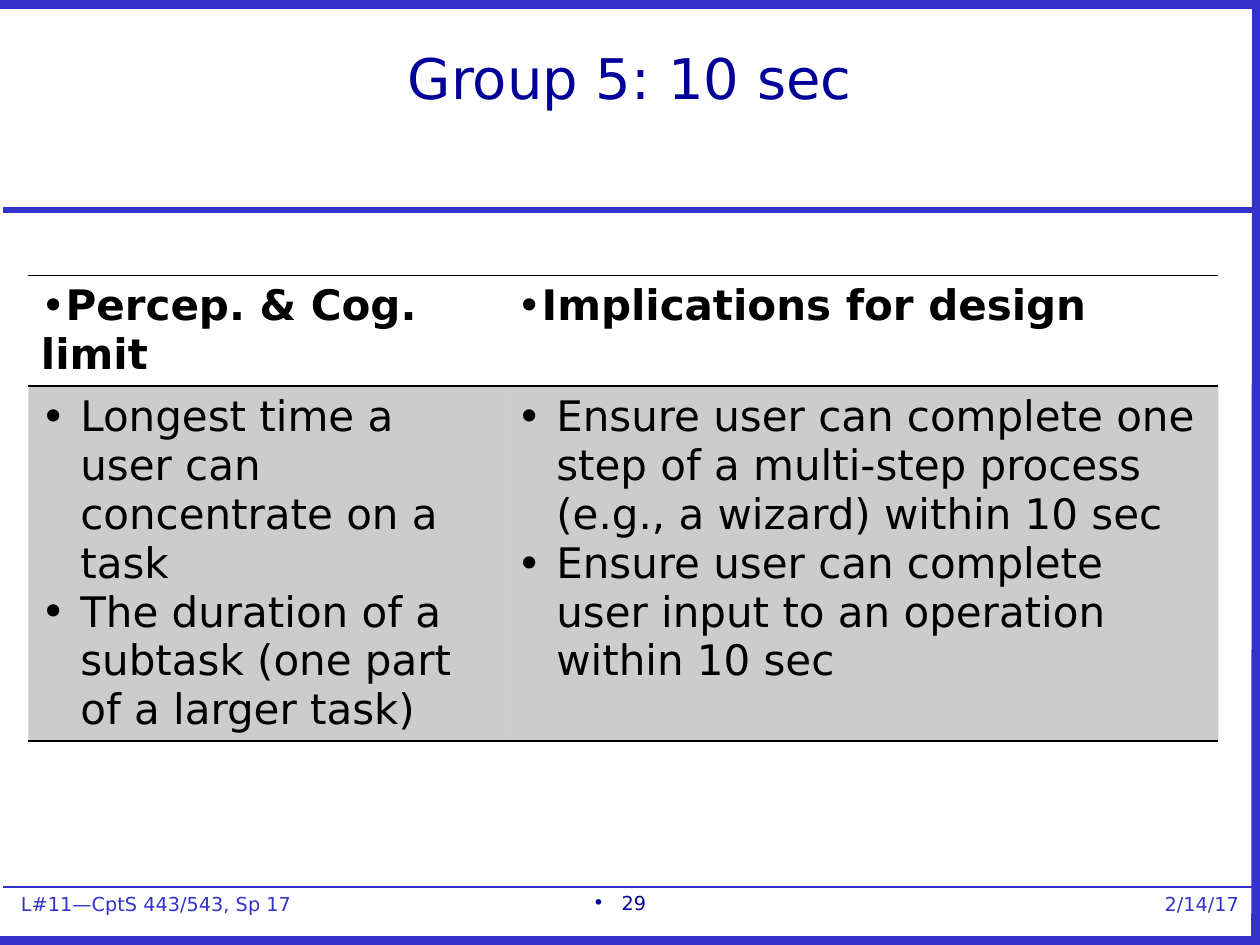
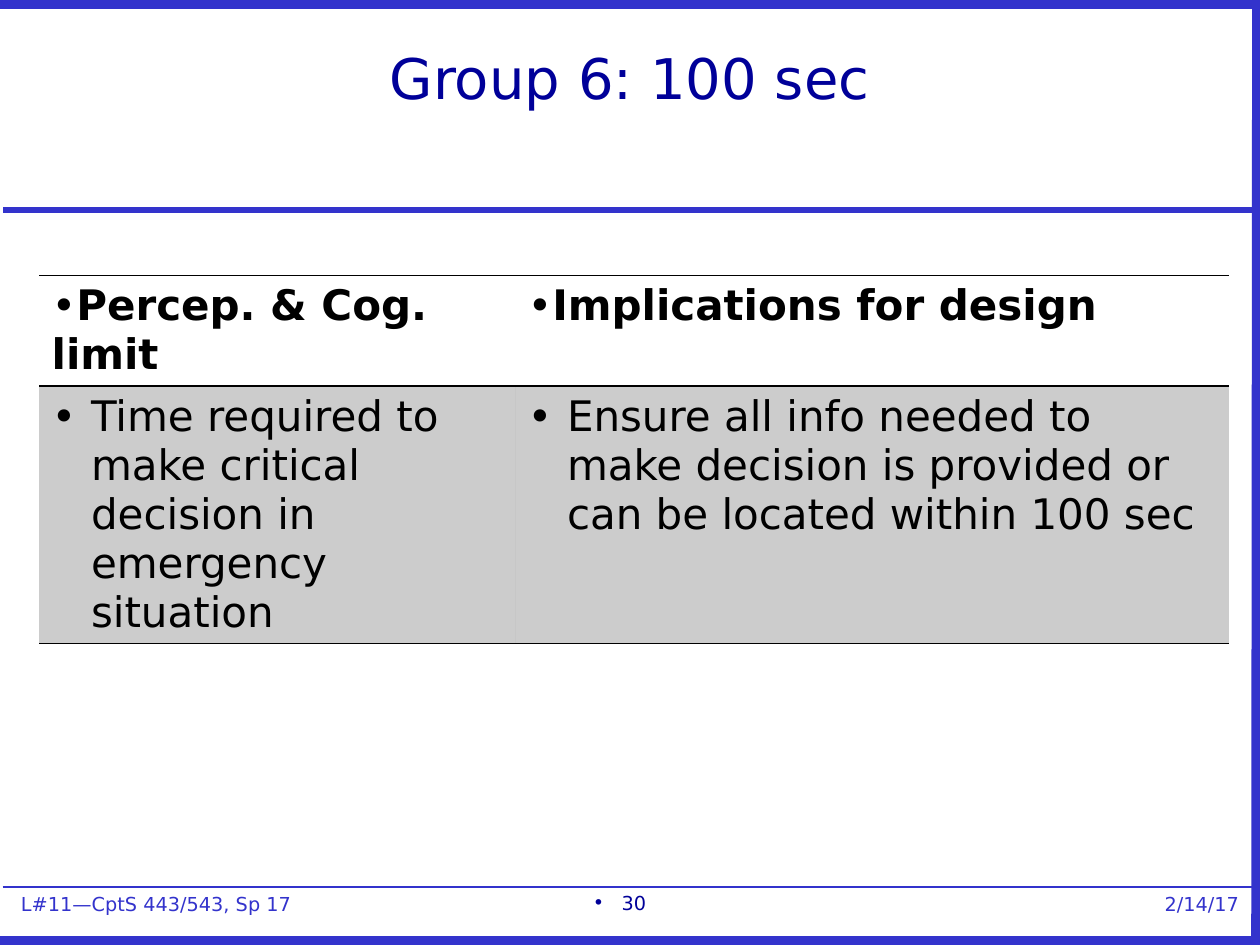
from dataclasses import dataclass

import lxml.etree
import pptx
import pptx.dml.color
import pptx.enum.shapes
import pptx.enum.text
import pptx.oxml.ns
import pptx.util

Pt = pptx.util.Pt
qn = pptx.oxml.ns.qn
Align = pptx.enum.text.PP_ALIGN
Anchor = pptx.enum.text.MSO_ANCHOR

FONT = "DejaVu Sans"
BLUE, NAVY, BLACK, WHITE = "3333CC", "000099", "000000", "FFFFFF"
NO_GRID_STYLE = "{2D5ABB26-0587-4C30-8999-92F81FD0307C}"
TABLE_TOP = 157.5
COLUMN_WIDTHS = (272, 408)
ROW_HEIGHTS = (26, 72)
HEADINGS = ("Percep. & Cog. limit", "Implications for design")
BODY_INDENT = 22.5


@dataclass(frozen=True)
class Rule:
    x1: float
    y1: float
    x2: float
    y2: float
    weight: float


@dataclass(frozen=True)
class Footer:
    text: str
    left: float
    width: float
    align: Align


@dataclass(frozen=True)
class Group:
    title: str
    number: int
    table_left: float
    limits: tuple[str, ...]
    implications: tuple[str, ...]


RULES = (
    Rule(2, 120, 718, 120, 3),
    Rule(-0.5, 2, 718.5, 2, 6),
    Rule(-0.5, 538, 718.5, 538, 6),
    Rule(718, 541, 718.5, 0, 6),
    Rule(1.5, 507, 716.5, 507, 1),
)
FOOTERS = (
    Footer("L#11—CptS 443/543, Sp 17", 12, 180, Align.LEFT),
    Footer("2/14/17", 540, 168, Align.RIGHT),
)
GROUPS = (
    Group(
        "Group 5: 10 sec", 29, 16.2,
        ("Longest time a user can concentrate on a task",
         "The duration of a subtask (one part of a larger task)"),
        ("Ensure user can complete one step of a multi-step process "
         "(e.g., a wizard) within 10 sec",
         "Ensure user can complete user input to an operation within 10 sec"),
    ),
    Group(
        "Group 6: 100 sec", 30, 22.3,
        ("Time required to make critical decision in emergency situation",),
        ("Ensure all info needed to make decision is provided or can be "
         "located within 100 sec",),
    ),
)


def rgb(hex_colour: str) -> pptx.dml.color.RGBColor:
    return pptx.dml.color.RGBColor.from_string(hex_colour)


def style_text(frame, size: float, colour: str, align: Align = Align.LEFT,
               bold: bool = False) -> None:
    for paragraph in frame.paragraphs:
        paragraph.alignment = align
        for run in paragraph.runs:
            run.font.name = FONT
            run.font.size = Pt(size)
            run.font.bold = bold
            run.font.color.rgb = rgb(colour)


def add_bullets(frame, indent: float) -> None:
    """Give every paragraph a bullet hanging by the indent in points."""
    for paragraph in frame.paragraphs:
        properties = paragraph._p.get_or_add_pPr()
        properties.set("marL", str(Pt(indent)))
        properties.set("indent", str(-Pt(indent)))
        lxml.etree.SubElement(properties, qn("a:buFont")).set("typeface", FONT)
        lxml.etree.SubElement(properties, qn("a:buChar")).set("char", "•")


def add_rule(slide, rule: Rule) -> None:
    line = slide.shapes.add_connector(
        pptx.enum.shapes.MSO_CONNECTOR.STRAIGHT,
        Pt(rule.x1), Pt(rule.y1), Pt(rule.x2), Pt(rule.y2))
    line.line.color.rgb = rgb(BLUE)
    line.line.width = Pt(rule.weight)
    lxml.etree.SubElement(line._element.spPr, qn("a:effectLst"))


def add_footer(slide, footer: Footer) -> None:
    label = slide.shapes.add_shape(
        pptx.enum.shapes.MSO_SHAPE.RECTANGLE,
        Pt(footer.left), Pt(510), Pt(footer.width), Pt(13))
    label.shadow.inherit = False
    label.fill.solid()
    label.fill.fore_color.rgb = rgb(WHITE)
    label.line.fill.background()
    frame = label.text_frame
    frame.margin_left = frame.margin_right = 0
    frame.margin_top = frame.margin_bottom = 0
    frame.vertical_anchor = Anchor.TOP
    frame.word_wrap = True
    frame.text = footer.text
    style_text(frame, 11, BLUE, footer.align)


def add_page_number(slide, number: int) -> None:
    box = slide.shapes.add_textbox(Pt(18), Pt(505.5), Pt(684), Pt(12))
    frame = box.text_frame
    frame.word_wrap = True
    frame.margin_right = Pt(19)
    frame.text = str(number)
    style_text(frame, 11, NAVY, Align.CENTER)
    add_bullets(frame, 16.5)


def set_title(slide, text: str) -> None:
    title = slide.shapes.title
    title.left, title.top = Pt(12), Pt(12)
    title.width, title.height = Pt(696), Pt(102)
    frame = title.text_frame
    frame.auto_size = pptx.enum.text.MSO_AUTO_SIZE.NONE
    frame.vertical_anchor = Anchor.MIDDLE
    frame.margin_bottom = Pt(41)
    frame.text = text
    style_text(frame, 32, NAVY, Align.CENTER)


def add_border(cell, side: str) -> None:
    """Draw a black line on the side named by its tag, lnT or lnB."""
    properties = cell._tc.get_or_add_tcPr()
    line = lxml.etree.SubElement(properties, qn(f"a:{side}"))
    line.set("w", str(Pt(1)))
    fill = lxml.etree.SubElement(line, qn("a:solidFill"))
    lxml.etree.SubElement(fill, qn("a:srgbClr")).set("val", BLACK)


def fill_heading(cell, heading: str) -> None:
    add_border(cell, "lnT")
    add_border(cell, "lnB")
    cell.fill.background()
    cell.text_frame.text = heading
    style_text(cell.text_frame, 24, BLACK, bold=True)
    add_bullets(cell.text_frame, 0)


def fill_points(cell, points: tuple[str, ...]) -> None:
    add_border(cell, "lnB")
    cell.fill.solid()
    cell.fill.fore_color.rgb = rgb(BLACK)
    shade = cell._tc.tcPr.find(f"{qn('a:solidFill')}/{qn('a:srgbClr')}")
    lxml.etree.SubElement(shade, qn("a:alpha")).set("val", "20000")
    cell.text_frame.text = "\n".join(points)
    style_text(cell.text_frame, 24, BLACK)
    add_bullets(cell.text_frame, BODY_INDENT)


def add_limits_table(slide, group: Group) -> None:
    frame = slide.shapes.add_table(
        2, 2, Pt(group.table_left), Pt(TABLE_TOP),
        Pt(sum(COLUMN_WIDTHS)), Pt(sum(ROW_HEIGHTS)))
    table = frame.table
    table.first_row = table.horz_banding = False
    table._tbl.tblPr.find(qn("a:tableStyleId")).text = NO_GRID_STYLE
    for row, height in zip(table.rows, ROW_HEIGHTS):
        row.height = Pt(height)
    for index, points in enumerate((group.limits, group.implications)):
        table.columns[index].width = Pt(COLUMN_WIDTHS[index])
        fill_heading(table.cell(0, index), HEADINGS[index])
        fill_points(table.cell(1, index), points)


def add_group_slide(deck, group: Group) -> None:
    slide = deck.slides.add_slide(deck.slide_layouts[5])
    for footer in FOOTERS:
        add_footer(slide, footer)
    for rule in RULES:
        add_rule(slide, rule)
    set_title(slide, group.title)
    add_limits_table(slide, group)
    add_page_number(slide, group.number)


def main() -> None:
    deck = pptx.Presentation()
    deck.slide_width, deck.slide_height = Pt(720), Pt(540)
    for group in GROUPS:
        add_group_slide(deck, group)
    deck.save("out.pptx")


if __name__ == "__main__":
    main()
